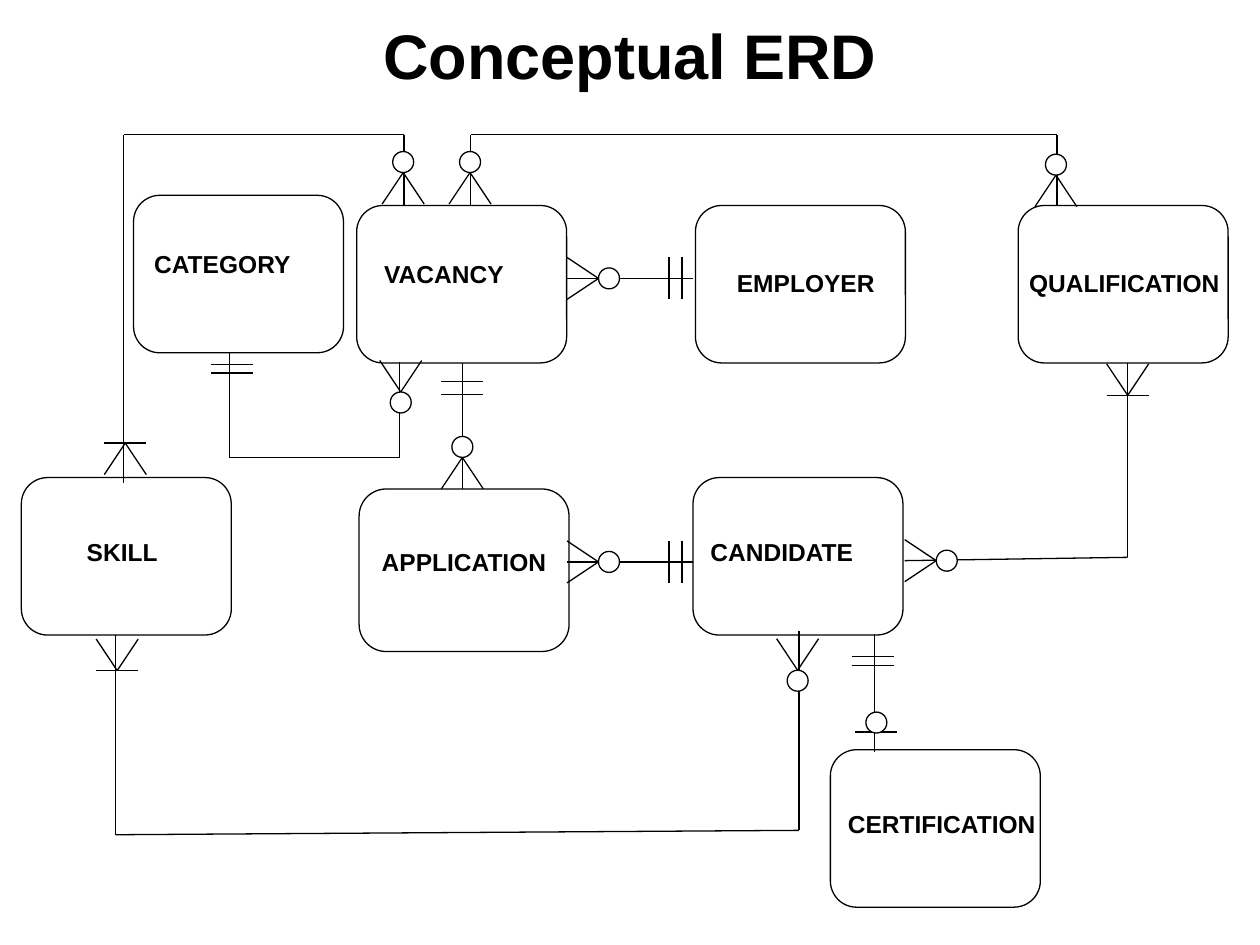
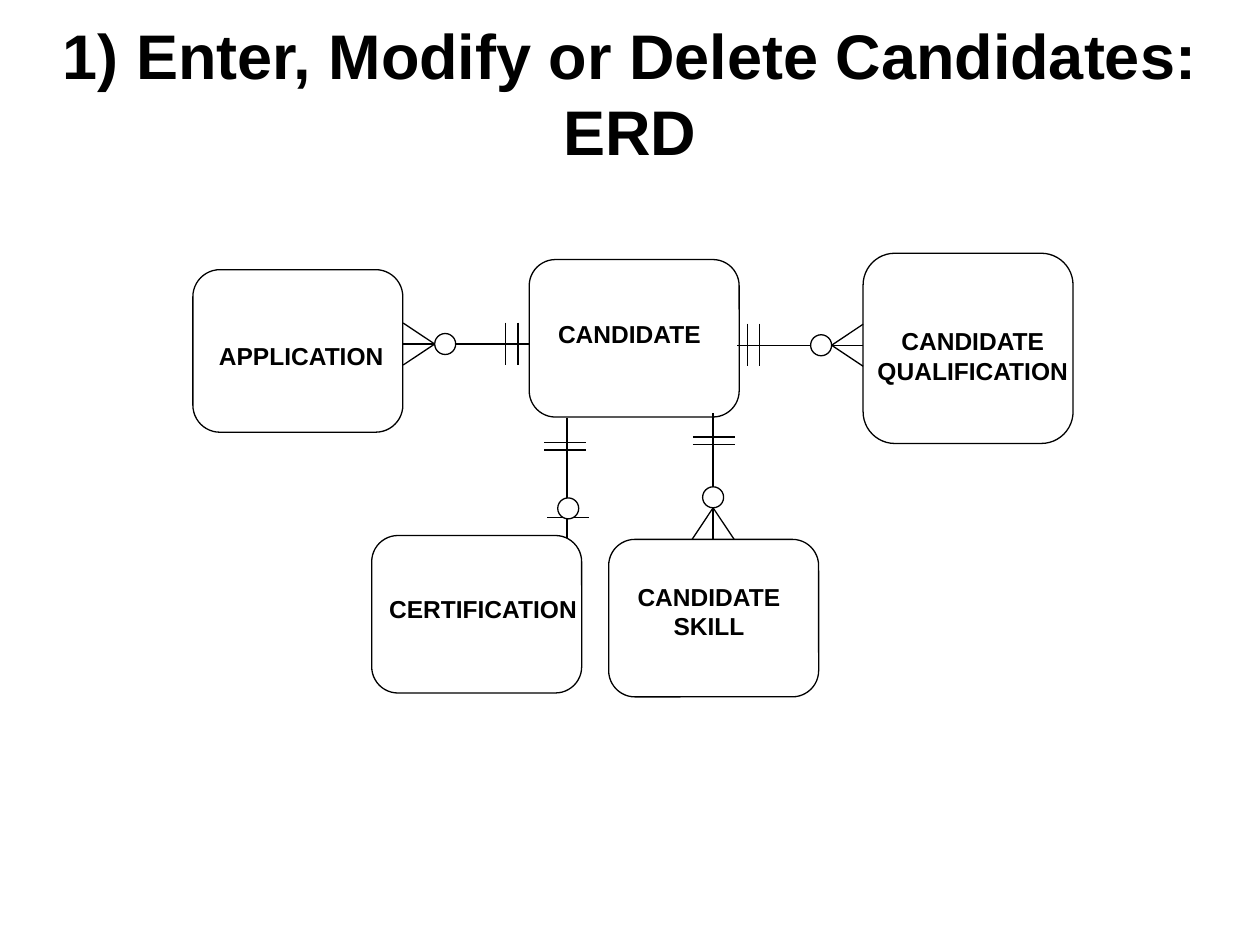
"""Build two entity-relationship diagram slides in crow's foot notation."""
from lxml import etree
from pptx import Presentation
from pptx.dml.color import RGBColor
from pptx.enum.shapes import MSO_CONNECTOR, MSO_SHAPE
from pptx.enum.text import MSO_ANCHOR, MSO_AUTO_SIZE, PP_ALIGN
from pptx.oxml.ns import qn
from pptx.util import Pt

STRAIGHT = MSO_CONNECTOR.STRAIGHT
ENTITY_SHAPE = MSO_SHAPE.FLOWCHART_ALTERNATE_PROCESS
CIRCLE = MSO_SHAPE.OVAL
TOP = MSO_ANCHOR.TOP
CENTER, LEFT = PP_ALIGN.CENTER, PP_ALIGN.LEFT
NO_AUTOFIT, FIT_SHAPE = MSO_AUTO_SIZE.NONE, MSO_AUTO_SIZE.SHAPE_TO_FIT_TEXT

BLACK = RGBColor(0, 0, 0)
WHITE = RGBColor(255, 255, 255)
FONT = "Arial"
LINE_WIDTH = 0.75
ENTITY_WIDTH = 120
FOOT_LENGTH = 18
HALF_BAR = 12
RADIUS = 6
LABEL_LINE = 16.5

UP, DOWN, TO_LEFT, TO_RIGHT = (0, -1), (0, 1), (-1, 0), (1, 0)
ACROSS, UPRIGHT = (1, 0), (0, 1)

WORD_WIDTHS = {
    "QUALIFICATION": 124, "SKILL": 56, "VACANCY": 84, "EMPLOYER": 95,
    "APPLICATION": 110, "CANDIDATE": 97.5, "CATEGORY": 94,
    "CERTIFICATION": 122.5,
}

DIAGRAMS = [
    {
        "title": "Conceptual ERD",
        "title_height": 50.4,
        "entities": [
            ("QUALIFICATION", 581.8, 117.4, 90, 581, 149.8),
            ("SKILL", 12.2, 272.9, 90, 42.5, 303.1),
            ("VACANCY", 203.8, 117.4, 90, 212.4, 144.7),
            ("EMPLOYER", 397.4, 117.4, 90, 414, 149.8),
            ("APPLICATION", 205.2, 279.4, 92.9, 211, 308.9),
            ("CANDIDATE", 396, 272.9, 90, 398.9, 303.1),
            ("CATEGORY", 76.3, 111.6, 90, 81, 138.7),
            ("CERTIFICATION", 474.5, 428.4, 90, 477.4, 458.6),
        ],
        "relations": [
            [(269, 117.4), (269, 77), (604, 77), (604, 117)],
            [(230.8, 117.4), (230.8, 77), (70.6, 77), (70.6, 275.8)],
            [(131, 201.6), (131, 261.5), (228.5, 261.5), (228.5, 206.6)],
            [(324, 159.1), (396, 159.1)],
            [(264.2, 207.4), (264.2, 279.4)],
            [(324, 321.1), (396, 321.1)],
            [(644.4, 207.4), (644.4, 318.5), (517, 320.4)],
            [(66.2, 362.9), (66.2, 477), (456.5, 474.5), (456.5, 360.7)],
            [(499.7, 362.2), (499.7, 429.8)],
        ],
        "zero_or_many": [
            (268.6, 98.6, DOWN), (230.4, 98.6, DOWN), (603.4, 100.1, DOWN),
            (342, 159.1, TO_LEFT), (264.2, 261.4, DOWN), (342, 321.1, TO_LEFT),
            (535, 320.4, TO_LEFT), (455.8, 383, UP), (229, 224, UP),
        ],
        "one_or_many": [(644.4, 225.9, UP), (67, 383.2, UP), (71.6, 253.2, DOWN)],
        "exactly_one": [
            (382.3, 159.1, UPRIGHT, 7.5), (382.3, 321.1, UPRIGHT, 7.5),
            (264, 218.2, ACROSS, 7.2), (132.7, 208.1, ACROSS, 5),
            (499, 375.1, ACROSS, 5),
        ],
        "zero_or_one": [(500.8, 412.9)],
    },
    {
        "title": "1) Enter, Modify or Delete Candidates: ERD",
        "title_height": 93.6,
        "entities": [
            ("APPLICATION", 110.2, 154.1, 92.9, 118, 191.5),
            ("CANDIDATE", 302.4, 148.3, 90, 311.8, 178.6),
            ("CANDIDATE\nSKILL", 347.8, 308.2, 90, 356.4, 329),
            ("CANDIDATE\nQUALIFICATION", 493.2, 144.7, 108.7, 493.9, 182.9),
            ("CERTIFICATION", 212.4, 306, 90, 215.3, 336.2),
        ],
        "relations": [
            [(407.5, 236.2), (407.5, 308.2)],
            [(230.4, 196.6), (302.4, 196.6)],
            [(493.2, 197.3), (421.2, 197.3)],
            [(324, 307.4), (324, 239)],
        ],
        "zero_or_many": [
            (407.5, 290.2, DOWN), (248.4, 196.6, TO_LEFT), (475.2, 197.3, TO_RIGHT),
        ],
        "one_or_many": [],
        "exactly_one": [
            (407.9, 249.8, ACROSS, 4.4), (288.7, 196.4, UPRIGHT, 7.3),
            (427, 197, UPRIGHT, 7.2), (323, 252.7, ACROSS, 4.4),
        ],
        "zero_or_one": [(324.7, 290.5)],
    },
]


def add_line(slide, x1, y1, x2, y2):
    """Draw a thin black line without a shadow."""
    connector = slide.shapes.add_connector(STRAIGHT, Pt(x1), Pt(y1), Pt(x2), Pt(y2))
    connector.line.color.rgb = BLACK
    connector.line.width = Pt(LINE_WIDTH)
    etree.SubElement(connector._element.spPr, qn("a:effectLst"))


def add_outline(slide, preset, x, y, width, height):
    """Draw a white preset shape with a thin black outline."""
    shape = slide.shapes.add_shape(preset, Pt(x), Pt(y), Pt(width), Pt(height))
    shape.shadow.inherit = False
    shape.fill.solid()
    shape.fill.fore_color.rgb = WHITE
    shape.line.color.rgb = BLACK
    shape.line.width = Pt(LINE_WIDTH)


prs = Presentation()
prs.slide_width, prs.slide_height = Pt(720), Pt(540)
title_only = prs.slide_layouts[5]

for diagram in DIAGRAMS:
    slide = prs.slides.add_slide(title_only)
    heading = slide.shapes.title
    heading.left, heading.top = Pt(0), Pt(5.8)
    heading.width, heading.height = Pt(720), Pt(diagram["title_height"])
    heading.text_frame.text = diagram["title"]
    heading.text_frame.vertical_anchor = TOP
    heading.text_frame.auto_size = NO_AUTOFIT
    styled = [(heading.text_frame, 36, CENTER)]

    for name, x, y, height, label_x, label_y in diagram["entities"]:
        add_outline(slide, ENTITY_SHAPE, x, y, ENTITY_WIDTH, height)
        words = name.split("\n")
        label = slide.shapes.add_textbox(
            Pt(label_x), Pt(label_y), Pt(max(WORD_WIDTHS[word] for word in words)),
            Pt(8 + LABEL_LINE * len(words)))
        label.text_frame.text = name
        label.text_frame.word_wrap = False
        label.text_frame.auto_size = FIT_SHAPE
        styled.append((label.text_frame, 14, CENTER if len(words) > 1 else LEFT))

    for frame, size, alignment in styled:
        for paragraph in frame.paragraphs:
            paragraph.alignment = alignment
            for run in paragraph.runs:
                run.font.name = FONT
                run.font.size = Pt(size)
                run.font.bold = True
                run.font.color.rgb = BLACK

    for corners in diagram["relations"]:
        for start, end in zip(corners, corners[1:]):
            add_line(slide, *start, *end)

    for x, y, (dx, dy) in diagram["zero_or_many"] + diagram["one_or_many"]:
        for side in (-HALF_BAR, HALF_BAR):
            add_line(slide, x, y, x + dx * FOOT_LENGTH + dy * side,
                     y + dy * FOOT_LENGTH + dx * side)

    bars = [(x, y, ACROSS) for x, y, toward in diagram["one_or_many"]]
    bars += [(x, y + 5.4, ACROSS) for x, y in diagram["zero_or_one"]]
    for x, y, (dx, dy), gap in diagram["exactly_one"]:
        bars += [(x, y, (dx, dy)), (x + dy * gap, y + dx * gap, (dx, dy))]
    for x, y, (dx, dy) in bars:
        add_line(slide, x - dx * HALF_BAR, y - dy * HALF_BAR,
                 x + dx * HALF_BAR, y + dy * HALF_BAR)

    zeros = [(x - dx * RADIUS, y - dy * RADIUS)
             for x, y, (dx, dy) in diagram["zero_or_many"]]
    for x, y in zeros + diagram["zero_or_one"]:
        add_outline(slide, CIRCLE, x - RADIUS, y - RADIUS, 2 * RADIUS, 2 * RADIUS)

prs.save("out.pptx")
